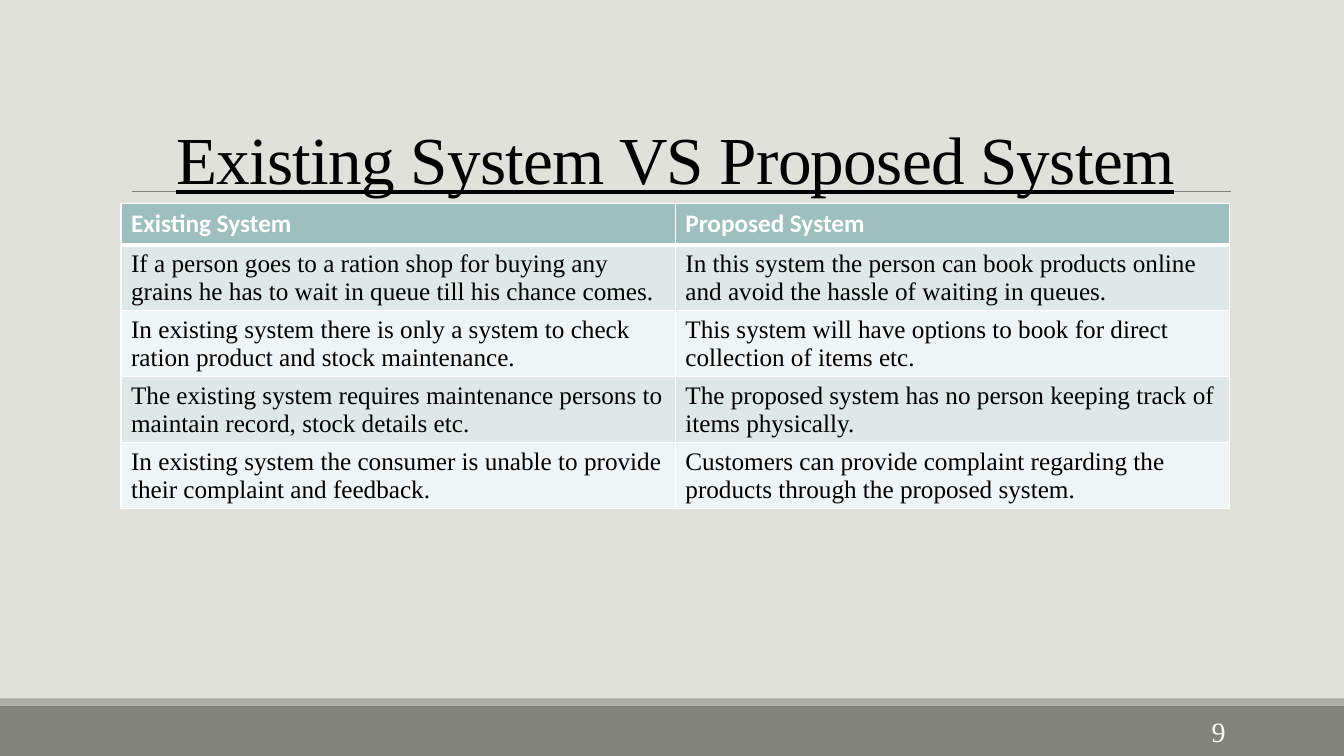
from dataclasses import dataclass

from lxml.etree import SubElement
from pptx import Presentation
from pptx.dml.color import RGBColor
from pptx.enum.shapes import MSO_CONNECTOR, MSO_SHAPE
from pptx.enum.text import MSO_ANCHOR, MSO_AUTO_SIZE, PP_ALIGN
from pptx.oxml import parse_xml
from pptx.oxml.ns import nsdecls, qn
from pptx.util import Cm, Pt


@dataclass(frozen=True)
class Theme:
    background: str = "E1E1DB"
    footer: str = "82847C"
    footer_edge: str = "ACADA8"
    rule: str = "808080"
    header: str = "9DBFBE"
    bands: tuple = ("DFE8E8", "EFF4F4")
    light: str = "FFFFFF"
    dark: str = "000000"
    serif: str = "Times New Roman"
    sans: str = "Calibri"
    title_size: int = 48
    number_size: int = 20
    table_size: int = 18


THEME = Theme()
WIDTH, HEIGHT = 33.87, 19.05
LEFT, CONTENT_WIDTH = 3.05, 27.94
HEADER_HEIGHT, ROW_HEIGHT = 1.04, 1.66

COMPARISON = [
    ("Existing System", "Proposed System"),
    ("If a person goes to a ration shop for buying any grains he has to wait in queue till his chance comes.",
     "In this system the person can book products online and avoid the hassle of waiting in queues."),
    ("In existing system there is only a system to check ration product and stock maintenance.",
     "This system will have options to book for direct collection of items etc."),
    ("The existing system requires maintenance persons to maintain record, stock details etc.",
     "The proposed system has no person keeping track of items physically."),
    ("In existing system the consumer is unable to provide their complaint and feedback.",
     "Customers can provide complaint regarding the products through the proposed system."),
]


def write_text(tf, text, *, size, color, font=THEME.serif, bold=False, underline=False,
               align=PP_ALIGN.LEFT, line_spacing=None, tracking=None):
    p = tf.paragraphs[0]
    p.alignment = align
    if line_spacing:
        p.line_spacing = line_spacing
    r = p.add_run()
    r.text = text
    r.font.name = font
    r.font.size = Pt(size)
    r.font.bold = bold
    r.font.underline = underline
    r.font.color.rgb = RGBColor.from_string(color)
    if tracking is not None:
        r._r.get_or_add_rPr().set("spc", str(round(tracking * 100)))


def add_band(s, top, height, color):
    sp = s.shapes.add_shape(MSO_SHAPE.RECTANGLE, Cm(0), Cm(top), Cm(WIDTH), Cm(height))
    sp.shadow.inherit = False
    sp.fill.solid()
    sp.fill.fore_color.rgb = RGBColor.from_string(color)
    sp.line.fill.background()


def add_rule(s, left, right, y):
    line = s.shapes.add_connector(MSO_CONNECTOR.STRAIGHT, Cm(left), Cm(y), Cm(right), Cm(y))
    line.line.color.rgb = RGBColor.from_string(THEME.rule)
    line.line.width = Pt(0.5)
    SubElement(line._element.spPr, qn("a:effectLst"))


def set_title(s, text):
    sp = s.shapes.title
    sp.left, sp.top, sp.width, sp.height = Cm(LEFT), Cm(1.09), Cm(CONTENT_WIDTH), Cm(4.04)
    tf = sp.text_frame
    tf.word_wrap = True
    tf.auto_size = MSO_AUTO_SIZE.NONE
    tf.vertical_anchor = MSO_ANCHOR.BOTTOM
    write_text(tf, text, size=THEME.title_size, color=THEME.dark, underline=True,
               align=PP_ALIGN.CENTER, line_spacing=0.85, tracking=-0.5)


def set_borders(cell, bottom):
    tcPr = cell._tc.get_or_add_tcPr()
    for i, (side, width) in enumerate({"L": 1, "R": 1, "T": 1, "B": bottom}.items()):
        tcPr.insert(i, parse_xml(
            f'<a:ln{side} {nsdecls("a")} w="{Pt(width)}"><a:solidFill>'
            f'<a:srgbClr val="{THEME.light}"/></a:solidFill></a:ln{side}>'))


def add_comparison(s, rows):
    height = HEADER_HEIGHT + ROW_HEIGHT * (len(rows) - 1)
    table = s.shapes.add_table(len(rows), len(rows[0]), Cm(LEFT), Cm(5.13),
                               Cm(CONTENT_WIDTH), Cm(height)).table
    for i, texts in enumerate(rows):
        header = i == 0
        table.rows[i].height = Cm(HEADER_HEIGHT if header else ROW_HEIGHT)
        fill = THEME.header if header else THEME.bands[(i - 1) % 2]
        for j, text in enumerate(texts):
            cell = table.cell(i, j)
            cell.fill.solid()
            cell.fill.fore_color.rgb = RGBColor.from_string(fill)
            set_borders(cell, bottom=3 if header else 1)
            write_text(cell.text_frame, text, size=THEME.table_size, bold=header,
                       font=THEME.sans if header else THEME.serif,
                       color=THEME.light if header else THEME.dark)


def add_slide_number(s, number):
    tf = s.shapes.add_textbox(Cm(27.51), Cm(17.93), Cm(3.63), Cm(1.02)).text_frame
    tf.word_wrap = True
    tf.vertical_anchor = MSO_ANCHOR.MIDDLE
    write_text(tf, number, size=THEME.number_size, color=THEME.light, align=PP_ALIGN.RIGHT)


def main():
    prs = Presentation()
    prs.slide_width, prs.slide_height = Cm(WIDTH), Cm(HEIGHT)
    s = prs.slides.add_slide(prs.slide_layouts[5])
    s.background.fill.solid()
    s.background.fill.fore_color.rgb = RGBColor.from_string(THEME.background)
    add_band(s, 17.78, 1.27, THEME.footer)
    add_band(s, 17.6, 0.18, THEME.footer_edge)
    add_rule(s, 3.33, 31.01, 4.83)
    title = s.shapes.title._element
    title.getparent().append(title)
    set_title(s, "Existing System VS Proposed System")
    add_comparison(s, COMPARISON)
    add_slide_number(s, "9")
    prs.save("out.pptx")


if __name__ == "__main__":
    main()
